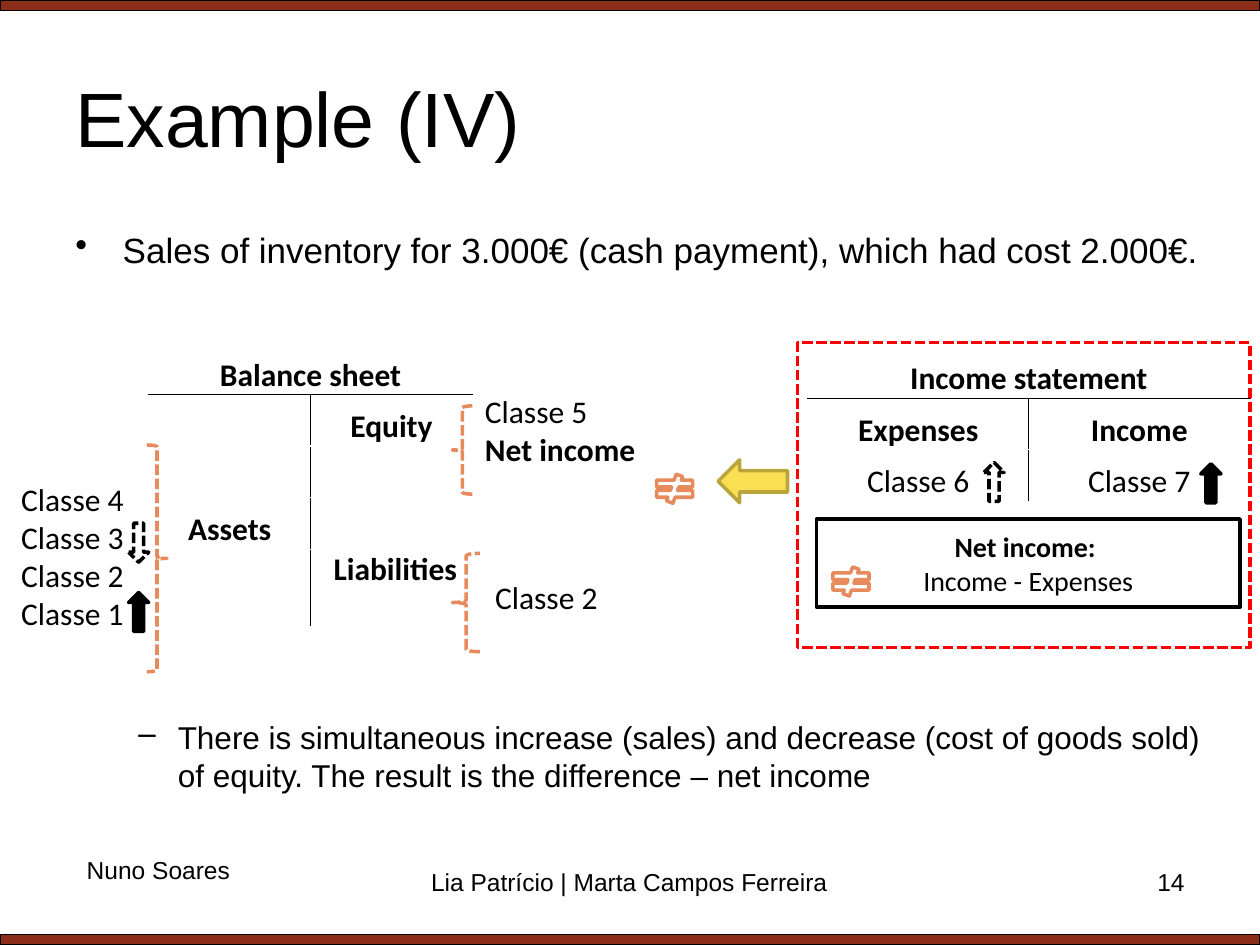
import pptx
import pptx.util
import pptx.dml.color
import pptx.enum.dml
import pptx.enum.shapes
import pptx.enum.text
import pptx.oxml
import pptx.oxml.ns
from lxml import etree

Pt = pptx.util.Pt
SHAPE = pptx.enum.shapes.MSO_SHAPE
ANCHOR = pptx.enum.text.MSO_ANCHOR
ALIGN = pptx.enum.text.PP_ALIGN
BLACK, WHITE, BRICK = "000000", "FFFFFF", "8C2D19"
ORANGE, RED, YELLOW, OLIVE = "E78A5C", "FF0000", "FBDF53", "BAA53D"
ROW = 29.5


def color(value):
    return pptx.dml.color.RGBColor.from_string(value)


def style(paragraph, size, font="Calibri", bold=False, align=ALIGN.LEFT):
    paragraph.alignment = align
    paragraph.font.size = Pt(size)
    paragraph.font.name = font
    paragraph.font.bold = bold
    paragraph.font.color.rgb = color(BLACK)


def add_text(slide, box, lines, size=18, font="Calibri", align=ALIGN.LEFT,
             bold_lines=(), wrap=False, anchor=ANCHOR.TOP):
    frame = slide.shapes.add_textbox(*map(Pt, box)).text_frame
    frame.word_wrap = wrap
    frame.vertical_anchor = anchor
    frame.text = "\n".join(lines)
    for line in frame.paragraphs:
        style(line, size, font, line.text in bold_lines, align)
    return frame


def add_figure(slide, kind, box, fill, outline, width=2, dashed=False):
    figure = slide.shapes.add_shape(kind, *map(Pt, box))
    figure.shadow.inherit = False
    if fill:
        figure.fill.solid()
        figure.fill.fore_color.rgb = color(fill)
    else:
        figure.fill.background()
    figure.line.color.rgb = color(outline)
    figure.line.width = Pt(width)
    if dashed:
        figure.line.dash_style = pptx.enum.dml.MSO_LINE.SQUARE_DOT
    return figure


def add_class_arrow(slide, x, y, kind=SHAPE.UP_ARROW, solid=True):
    add_figure(slide, kind, (x, y, 11.5, 22.3), BLACK if solid else None,
               BLACK, dashed=not solid)


def add_brace(slide, kind, box):
    add_figure(slide, kind, box, WHITE, ORANGE, dashed=True)


def add_difference_sign(slide, x, y):
    add_figure(slide, SHAPE.MATH_NOT_EQUAL, (x, y, 28, 16.6), WHITE, ORANGE)


def set_borders(cell, sides):
    properties = cell._tc.get_or_add_tcPr()
    lines = [pptx.oxml.parse_xml(
        f'<a:ln{side} {pptx.oxml.ns.nsdecls("a")} w="6350"><a:solidFill>'
        f'<a:srgbClr val="{BLACK}"/></a:solidFill></a:ln{side}>')
        for side in "LRTB" if side in sides]
    properties[0:0] = lines


def add_t_account(slide, x, y, column_width, row_heights, title, entries):
    """Two-column account; entries maps (row, column) to (text, bold)."""
    account = slide.shapes.add_table(
        len(row_heights), 2, Pt(x), Pt(y), Pt(2 * column_width),
        Pt(sum(row_heights))).table
    account.first_row = account.horz_banding = False
    for column in account.columns:
        column.width = Pt(column_width)
    for row, height in zip(account.rows, row_heights):
        row.height = Pt(height)
    account.cell(0, 0).merge(account.cell(0, 1))
    entries = {(0, 0): (title, True), **entries}
    for r in range(len(row_heights)):
        for c in range(2):
            cell = account.cell(r, c)
            cell.fill.background()
            cell.margin_left = cell.margin_right = cell.margin_top = Pt(0.7)
            cell.margin_bottom = 0
            cell.vertical_anchor = ANCHOR.BOTTOM
            text, bold = entries.get((r, c), ("", False))
            cell.text = text
            style(cell.text_frame.paragraphs[0], 18, bold=bold,
                  align=ALIGN.CENTER)
            sides = "B" if r == 0 else "LR"[1 - c] + ("T" if r == 1 else "")
            set_borders(cell, sides)
    return account


def add_bullet(slide, box, text, size, mark, margin, hanging):
    paragraph = add_text(slide, box, [text], size, "Arial",
                         wrap=True).paragraphs[0]
    properties = paragraph._p.get_or_add_pPr()
    properties.set("marL", str(Pt(margin)))
    properties.set("indent", str(-Pt(hanging)))
    bullet = etree.Element(pptx.oxml.ns.qn("a:buChar"), char=mark)
    properties.insert(0, bullet)


def add_frame_bars(slide, width, height):
    for y in (0, height - 6):
        add_figure(slide, SHAPE.RECTANGLE, (0, y, width, 6), BRICK, BLACK, 0.75)


def add_balance_sheet(slide, x, y):
    account = add_t_account(
        slide, x + 80, y, 92.5, [ROW] * 4 + [44], "Balance sheet",
        {(1, 1): ("Equity", True), (3, 0): ("Assets", True),
         (4, 1): ("Liabilities", True)})
    liabilities = account.cell(4, 1)
    liabilities.vertical_anchor = ANCHOR.TOP
    liabilities.margin_left = Pt(5)
    # Assets side
    add_brace(slide, SHAPE.RIGHT_BRACE, (x + 79, y + 58.3, 11.5, 129.6))
    add_text(slide, (x, y + 75, 73.5, 94),
             [f"Classe {number}" for number in (4, 3, 2, 1)])
    add_class_arrow(slide, x + 68.5, y + 103, SHAPE.DOWN_ARROW, solid=False)
    add_class_arrow(slide, x + 68.5, y + 142.5)
    # Equity and liabilities side
    add_brace(slide, SHAPE.LEFT_BRACE, (x + 253.5, y + 36, 11.5, 50.4))
    add_text(slide, (x + 265, y + 24.5, 101.5, 51),
             ["Classe 5", "Net income"], bold_lines=["Net income"])
    add_difference_sign(slide, x + 366.5, y + 75)
    add_brace(slide, SHAPE.LEFT_BRACE, (x + 253.5, y + 120.2, 15.8, 56.2))
    add_text(slide, (x + 270.8, y + 131, 73.5, 29), ["Classe 2"])


def add_income_statement(slide, x, y, width, height):
    add_t_account(
        slide, x + 5.8, y + 2.2, 126.3, [ROW] * 3, "Income statement",
        {(1, 0): ("Expenses", True), (1, 1): ("Income", True),
         (2, 0): ("Classe 6", False), (2, 1): ("Classe 7", False)})
    # Net income rule
    rule_box = (x + 10.8, y + 100.8, 242, 50.4)
    rule = add_figure(slide, SHAPE.RECTANGLE, rule_box, None, BLACK)
    rule.text_frame.text = "Net income: \nIncome - Expenses"
    rule.text_frame.vertical_anchor = ANCHOR.MIDDLE
    for line, bold in zip(rule.text_frame.paragraphs, (True, False)):
        style(line, 16, bold=bold, align=ALIGN.CENTER)
    # Dashed outline, then the arrows over it
    add_figure(slide, SHAPE.RECTANGLE, (x, y, width, height), None, RED,
               dashed=True)
    add_figure(slide, SHAPE.LEFT_ARROW, (x - 45.4, y + 67, 39.6, 24.5),
               YELLOW, OLIVE)
    add_class_arrow(slide, x + 106.5, y + 68.4, solid=False)
    add_class_arrow(slide, x + 230.4, y + 69.2)
    add_difference_sign(slide, x + 16.5, y + 128.2)


def add_footer(slide, y):
    add_text(slide, (42.5, y - 6.5, 97, 24.5), ["Nuno Soares"], 14, "Arial")
    add_text(slide, (234.7, y, 250, 37.5),
             ["Lia Patrício | Marta Campos Ferreira"], 14, "Arial",
             ALIGN.CENTER, wrap=True)
    add_text(slide, (516, y, 168, 37.5), ["14"], 14, "Arial", ALIGN.RIGHT,
             wrap=True)


def main():
    deck = pptx.Presentation()
    deck.slide_width, deck.slide_height = Pt(720), Pt(540)
    slide = deck.slides.add_slide(deck.slide_layouts[6])
    add_frame_bars(slide, 720, 540)
    add_text(slide, (36, 21.6, 648, 90), ["Example (IV)"], 44, "Arial",
             wrap=True, anchor=ANCHOR.MIDDLE)
    add_bullet(slide, (36, 127, 672, 32),
               "Sales of inventory for 3.000€ (cash payment), "
               "which had cost 2.000€.", 20, "•", 27, 27)
    add_balance_sheet(slide, 5, 196)
    add_income_statement(slide, 455.8, 195.8, 258.5, 174.2)
    add_bullet(slide, (36, 407, 672, 50),
               "There is simultaneous increase (sales) and decrease (cost of "
               "goods sold) of equity. The result is the difference – "
               "net income", 18, "–", 58.5, 22.5)
    add_footer(slide, 491.8)
    deck.save("out.pptx")


if __name__ == "__main__":
    main()
